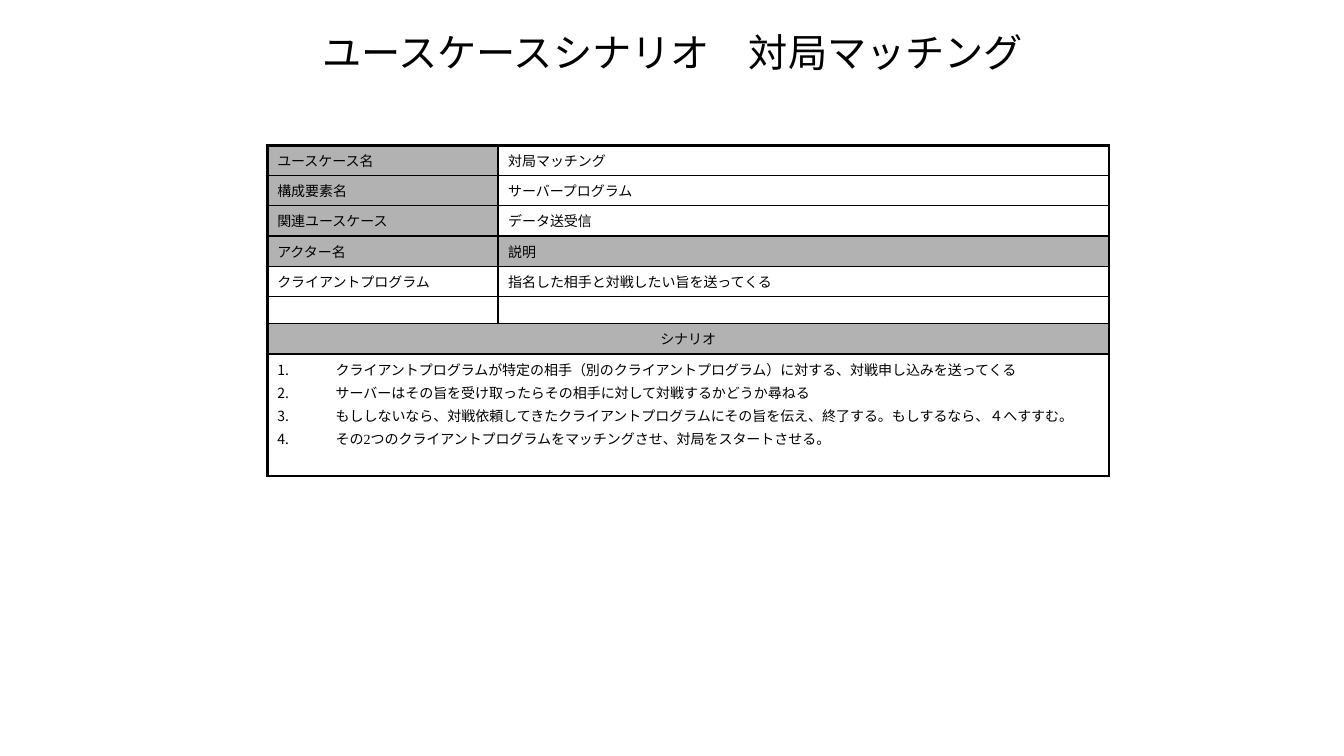
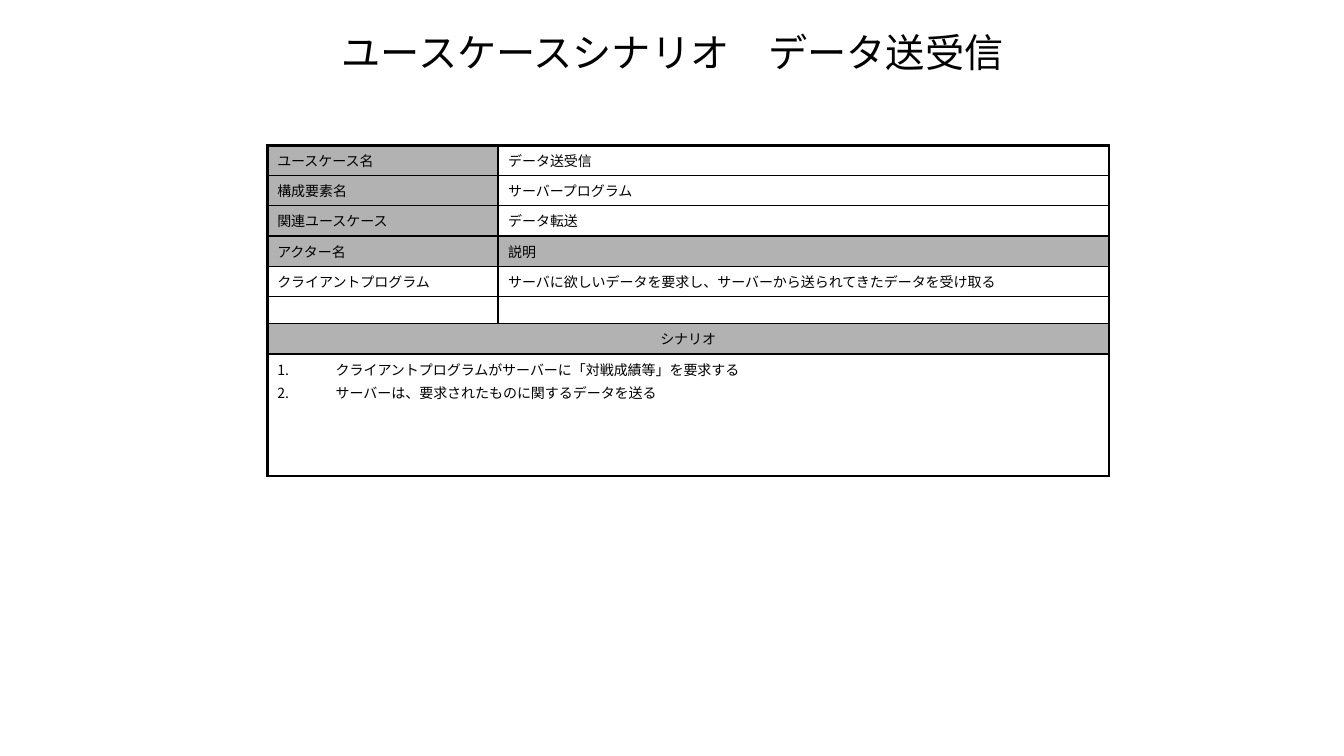
from dataclasses import dataclass

from lxml import etree
from pptx import Presentation
from pptx.dml.color import RGBColor
from pptx.enum.text import MSO_ANCHOR, MSO_AUTO_SIZE, PP_ALIGN
from pptx.oxml.ns import qn
from pptx.util import Inches, Pt

CENTER, LEFT = PP_ALIGN.CENTER, PP_ALIGN.LEFT
MIDDLE, TOP = MSO_ANCHOR.MIDDLE, MSO_ANCHOR.TOP
NO_AUTOFIT = MSO_AUTO_SIZE.NONE
TITLE_ONLY = 5


# Shared style
@dataclass(frozen=True)
class Theme:
    font: str = "Times New Roman"
    ink: str = "000000"
    label_fill: str = "B2B2B2"
    title_size: int = 28
    text_size: int = 10
    paragraph_gap: int = 2
    frame_line: float = 2.25
    grid_line: float = 1


def apply(target, values):
    for name, value in values.items():
        setattr(target, name, value)


class ScenarioDeck:
    def __init__(self, theme):
        self.theme = theme
        self.deck = Presentation()
        apply(self.deck, {"slide_width": Inches(13.33), "slide_height": Inches(7.5)})
        self.slide = None

    def add_slide(self):
        self.slide = self.deck.slides.add_slide(self.deck.slide_layouts[TITLE_ONLY])

    def add_text(self, paragraph, text, size, align):
        paragraph.alignment = align
        run = paragraph.add_run()
        run.text = text
        apply(run.font, {"name": self.theme.font, "size": Pt(size), "bold": False})
        run.font.color.rgb = RGBColor.from_string(self.theme.ink)

    def title(self, text):
        title = self.slide.shapes.title
        apply(title, {"left": Inches(2.42), "top": Inches(0.27),
                      "width": Inches(8.5), "height": Inches(0.48)})
        apply(title.text_frame, {"word_wrap": True, "auto_size": NO_AUTOFIT,
                                 "vertical_anchor": MIDDLE})
        self.add_text(title.text_frame.paragraphs[0], text, self.theme.title_size, CENTER)

    def number(self, paragraph):
        properties = paragraph._p.get_or_add_pPr()
        properties.set("marL", str(Inches(0.58)))
        properties.set("indent", str(Inches(-0.58)))
        etree.SubElement(properties, qn("a:buAutoNum"), type="arabicPeriod")

    def fill_cell(self, cell, lines, shaded=False, align=LEFT, numbered=False):
        apply(cell, {"margin_left": Inches(0.1), "margin_right": Inches(0.1),
                     "margin_top": Inches(0.05), "margin_bottom": Inches(0.05),
                     "vertical_anchor": TOP})
        if shaded:
            cell.fill.solid()
            cell.fill.fore_color.rgb = RGBColor.from_string(self.theme.label_fill)
        else:
            cell.fill.background()
        frame = cell.text_frame
        for index, line in enumerate(lines):
            paragraph = frame.add_paragraph() if index else frame.paragraphs[0]
            paragraph.space_before = Pt(self.theme.paragraph_gap)
            if numbered:
                self.number(paragraph)
            self.add_text(paragraph, line, self.theme.text_size, align)
        if not lines:
            # Keeps an empty row as low as the text rows
            etree.SubElement(frame.paragraphs[0]._p, qn("a:endParaRPr"),
                             sz=str(self.theme.text_size * 100))

    def borders(self, cell, on_frame):
        properties = cell._tc.get_or_add_tcPr()
        for index, (side, outer) in enumerate(on_frame.items()):
            width = self.theme.frame_line if outer else self.theme.grid_line
            line = etree.Element(qn(f"a:ln{side}"), w=str(Pt(width)))
            solid = etree.SubElement(line, qn("a:solidFill"))
            etree.SubElement(solid, qn("a:srgbClr"), val=self.theme.ink)
            properties.insert(index, line)

    def scenario_table(self, fields, actor, steps):
        rows = [*fields, ("アクター名", "説明"), actor, ("", ""), ("シナリオ", "")]
        heights = [0.27] * len(rows) + [1.21]
        widths = [2.29, 6.06]
        heading, last = len(rows) - 1, len(rows)
        table = self.slide.shapes.add_table(
            len(heights), len(widths), Inches(2.65), Inches(1.44),
            Inches(sum(widths)), Inches(sum(heights))).table
        apply(table, {"first_row": False, "horz_banding": False})
        for column, width in zip(table.columns, widths):
            column.width = Inches(width)
        for row, height in zip(table.rows, heights):
            row.height = Inches(height)
        for r in (heading, last):
            table.cell(r, 0).merge(table.cell(r, 1))

        # Labels and values
        for r, row in enumerate(rows):
            for c, text in enumerate(row):
                shaded = (r < len(fields) and c == 0) or r in (len(fields), heading)
                self.fill_cell(table.cell(r, c), [text] if text else [], shaded,
                               CENTER if r == heading else LEFT)

        # Numbered steps
        self.fill_cell(table.cell(last, 0), steps, numbered=True)
        self.fill_cell(table.cell(last, 1), [])

        # Heavy frame around a light grid
        for r in range(len(heights)):
            for c in range(len(widths)):
                self.borders(table.cell(r, c), {
                    "L": c == 0, "R": c == 1 or r >= heading,
                    "T": r == 0, "B": r == last})


# Content
SERVER, CLIENT = "サーバープログラム", "クライアントプログラム"
SCENARIOS = [
    ("対局マッチング", "データ送受信", "指名した相手と対戦したい旨を送ってくる", [
        "クライアントプログラムが特定の相手（別のクライアントプログラム）に対する、対戦申し込みを送ってくる",
        "サーバーはその旨を受け取ったらその相手に対して対戦するかどうか尋ねる",
        "もししないなら、対戦依頼してきたクライアントプログラムにその旨を伝え、終了する。もしするなら、４へすすむ。",
        "その2つのクライアントプログラムをマッチングさせ、対局をスタートさせる。",
    ]),
    ("データ送受信", "データ転送",
     "サーバに欲しいデータを要求し、サーバーから送られてきたデータを受け取る", [
         "クライアントプログラムがサーバーに「対戦成績等」を要求する",
         "サーバーは、要求されたものに関するデータを送る",
     ]),
]

# Slides
scenario_deck = ScenarioDeck(Theme())
for use_case, related, client_role, steps in SCENARIOS:
    scenario_deck.add_slide()
    scenario_deck.scenario_table(
        [("ユースケース名", use_case), ("構成要素名", SERVER), ("関連ユースケース", related)],
        (CLIENT, client_role), steps)
    scenario_deck.title(f"ユースケースシナリオ　{use_case}")
scenario_deck.deck.save("out.pptx")
